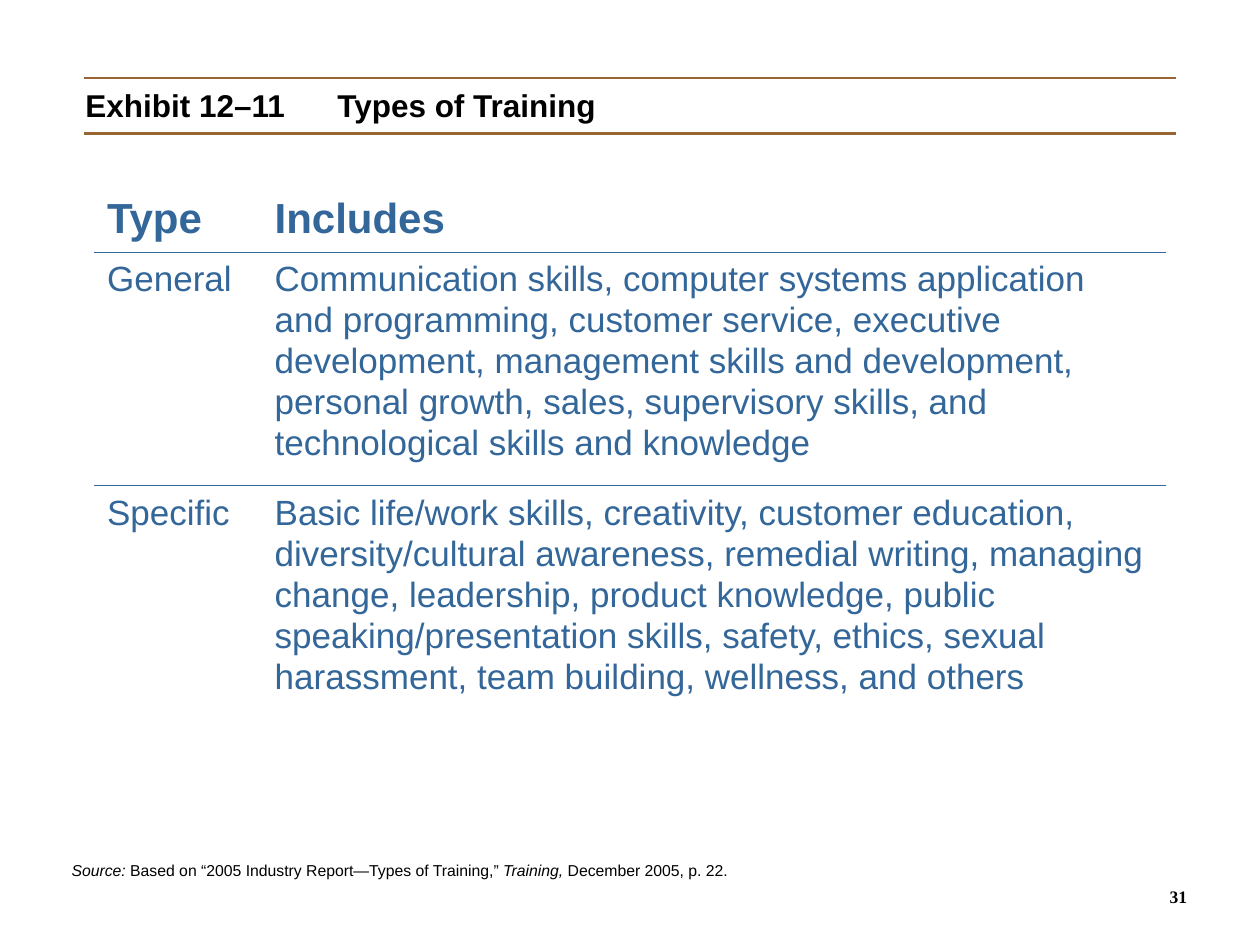
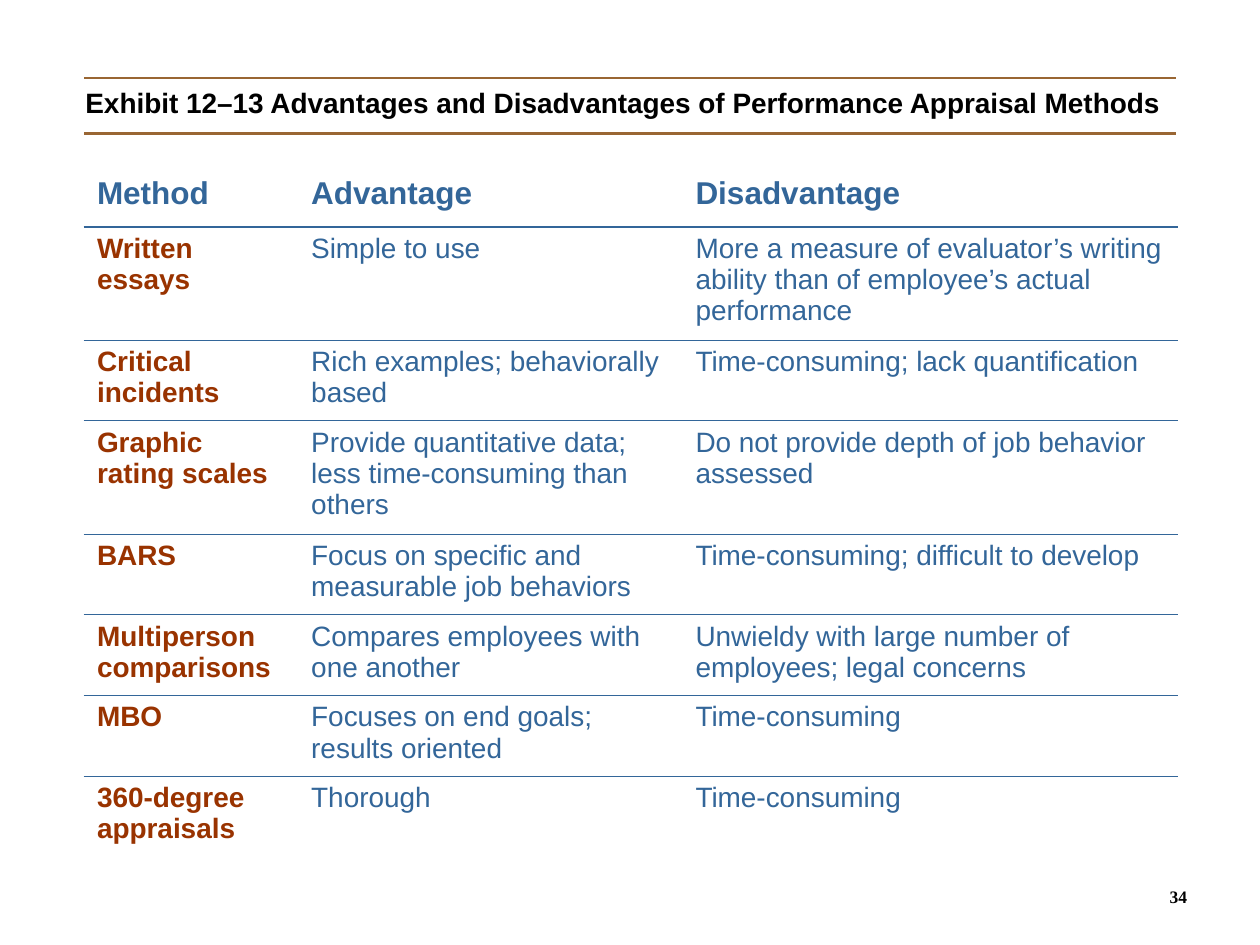
from pptx import Presentation
from pptx.dml.color import RGBColor
from pptx.enum.shapes import MSO_CONNECTOR
from pptx.enum.text import MSO_ANCHOR, PP_ALIGN
from pptx.oxml import parse_xml
from pptx.oxml.ns import nsdecls
from pptx.util import Inches, Pt

BLACK, BLUE, RUST, BROWN = "000000", "336699", "993300", "996633"


def color(hex_string):
    return RGBColor.from_string(hex_string)


def write_text(frame, text, size=16, fill=BLACK, bold=False, italic=False,
               font="Arial", align=PP_ALIGN.LEFT, line_spacing=None):
    """Add a run to the first paragraph of a text frame."""
    paragraph = frame.paragraphs[0]
    paragraph.alignment = align
    paragraph.line_spacing = line_spacing
    run = paragraph.add_run()
    run.text = text
    run.font.name = font
    run.font.size = Pt(size)
    run.font.bold = bold
    run.font.italic = italic
    run.font.color.rgb = color(fill)


exhibits = [
    {
        "title": "Exhibit 12–11\tTypes of Training",
        "title_size": 18,
        "title_height": 0.4,
        "number": "31",
        "position": (0.75, 1.5),
        "columns": [1.33, 7.17],
        "row_heights": [0.5, 1.85, 1.85],
        "header_size": 24,
        "header_rule": 0.45,
        "body_size": 20,
        "body_spacing": 1.05,
        "label_format": {"fill": BLUE},
        "rows": [
            ("Type", "Includes"),
            ("General",
             "Communication skills, computer systems application and programming, "
             "customer service, executive development, management skills and "
             "development, personal growth, sales, supervisory skills, and "
             "technological skills and knowledge"),
            ("Specific",
             "Basic life/work skills, creativity, customer education, "
             "diversity/cultural awareness, remedial writing, managing change, "
             "leadership, product knowledge, public speaking/presentation skills, "
             "safety, ethics, sexual harassment, team building, wellness, and others"),
        ],
        "source": [
            ("Source: ", True),
            ("Based on “2005 Industry Report—Types of Training,” ", False),
            ("Training, ", True),
            ("December 2005, p. 22.", False),
        ],
    },
    {
        "title": "Exhibit 12–13 Advantages and Disadvantages of Performance "
                 "Appraisal Methods",
        "title_size": 16,
        "title_height": 0.37,
        "number": "34",
        "position": (0.67, 1.35),
        "columns": [1.7, 3.05, 3.92],
        "row_heights": [0.45, 0.9, 0.64, 0.9] + [0.64] * 4,
        "header_size": 18,
        "header_rule": 1.08,
        "body_size": 16,
        "body_spacing": None,
        "label_format": {"fill": RUST, "bold": True},
        "rows": [
            ("Method", "Advantage", "Disadvantage"),
            ("Written essays", "Simple to use",
             "More a measure of evaluator’s writing ability than of employee’s "
             "actual performance"),
            ("Critical incidents", "Rich examples; behaviorally based",
             "Time-consuming; lack quantification"),
            ("Graphic rating scales",
             "Provide quantitative data; less time-consuming than others",
             "Do not provide depth of job behavior assessed"),
            ("BARS", "Focus on specific and measurable job behaviors",
             "Time-consuming; difficult to develop"),
            ("Multiperson comparisons", "Compares employees with one another",
             "Unwieldy with large number of employees; legal concerns"),
            ("MBO", "Focuses on end goals; results oriented", "Time-consuming"),
            ("360-degree appraisals", "Thorough", "Time-consuming"),
        ],
        "source": [],
    },
]

presentation = Presentation()
presentation.slide_width = Inches(10)
presentation.slide_height = Inches(7.5)

for exhibit in exhibits:
    slide = presentation.slides.add_slide(presentation.slide_layouts[6])

    # Title, with a tab stop after the exhibit number
    title = slide.shapes.add_textbox(Inches(0.58), Inches(0.63), Inches(8.83),
                                     Inches(exhibit["title_height"])).text_frame
    title.word_wrap = True
    if "\t" in exhibit["title"]:
        title.paragraphs[0]._p.get_or_add_pPr().append(parse_xml(
            f'<a:tabLst {nsdecls("a")}><a:tab pos="{Inches(2)}" algn="l"/></a:tabLst>'))
    write_text(title, exhibit["title"], size=exhibit["title_size"], bold=True)

    # Rules above and below the title
    for rule_top in (0.62, 1.06):
        rule = slide.shapes.add_connector(
            MSO_CONNECTOR.STRAIGHT, Inches(0.67), Inches(rule_top),
            Inches(9.33), Inches(rule_top))
        rule.line.color.rgb = color(BROWN)
        rule.line.width = Pt(1.5)
        rule._element.spPr.append(parse_xml(f'<a:effectLst {nsdecls("a")}/>'))

    # Table
    rows, columns, heights = exhibit["rows"], exhibit["columns"], exhibit["row_heights"]
    left, top = exhibit["position"]
    table = slide.shapes.add_table(
        len(rows), len(columns), Inches(left), Inches(top),
        Inches(sum(columns)), Inches(sum(heights))).table
    table.first_row = False
    table.horz_banding = False
    for column, width in zip(table.columns, columns):
        column.width = Inches(width)
    for row, height in zip(table.rows, heights):
        row.height = Inches(height)

    for row_index, row_texts in enumerate(rows):
        # Horizontal borders lie only between rows
        borders = []
        if row_index > 0:
            borders.append(("lnT", exhibit["header_rule"] if row_index == 1 else 0.45))
        if row_index < len(rows) - 1:
            borders.append(("lnB", exhibit["header_rule"] if row_index == 0 else 0.45))

        for column_index, text in enumerate(row_texts):
            cell = table.cell(row_index, column_index)
            for side, width in borders:
                cell._tc.get_or_add_tcPr().append(parse_xml(
                    f'<a:{side} {nsdecls("a")} w="{Pt(width)}"><a:solidFill>'
                    f'<a:srgbClr val="{BLUE}"/></a:solidFill></a:{side}>'))
            cell.fill.background()
            if row_index == 0:
                write_text(cell.text_frame, text, size=exhibit["header_size"],
                           fill=BLUE, bold=True)
            else:
                text_format = exhibit["label_format"] if column_index == 0 else {"fill": BLUE}
                write_text(cell.text_frame, text, size=exhibit["body_size"],
                           line_spacing=exhibit["body_spacing"], **text_format)

    # Source line
    if exhibit["source"]:
        source = slide.shapes.add_textbox(Inches(0.47), Inches(6.78),
                                          Inches(5.43), Inches(0.25)).text_frame
        source.word_wrap = False
        for text, italic in exhibit["source"]:
            write_text(source, text, size=9, italic=italic)

    # Page number
    number = slide.shapes.add_textbox(Inches(7), Inches(6.75),
                                      Inches(2.42), Inches(0.5)).text_frame
    number.word_wrap = True
    number.margin_left = number.margin_right = 0
    number.vertical_anchor = MSO_ANCHOR.BOTTOM
    write_text(number, exhibit["number"], size=10, bold=True,
               font="Times New Roman", align=PP_ALIGN.RIGHT)

presentation.save("out.pptx")
